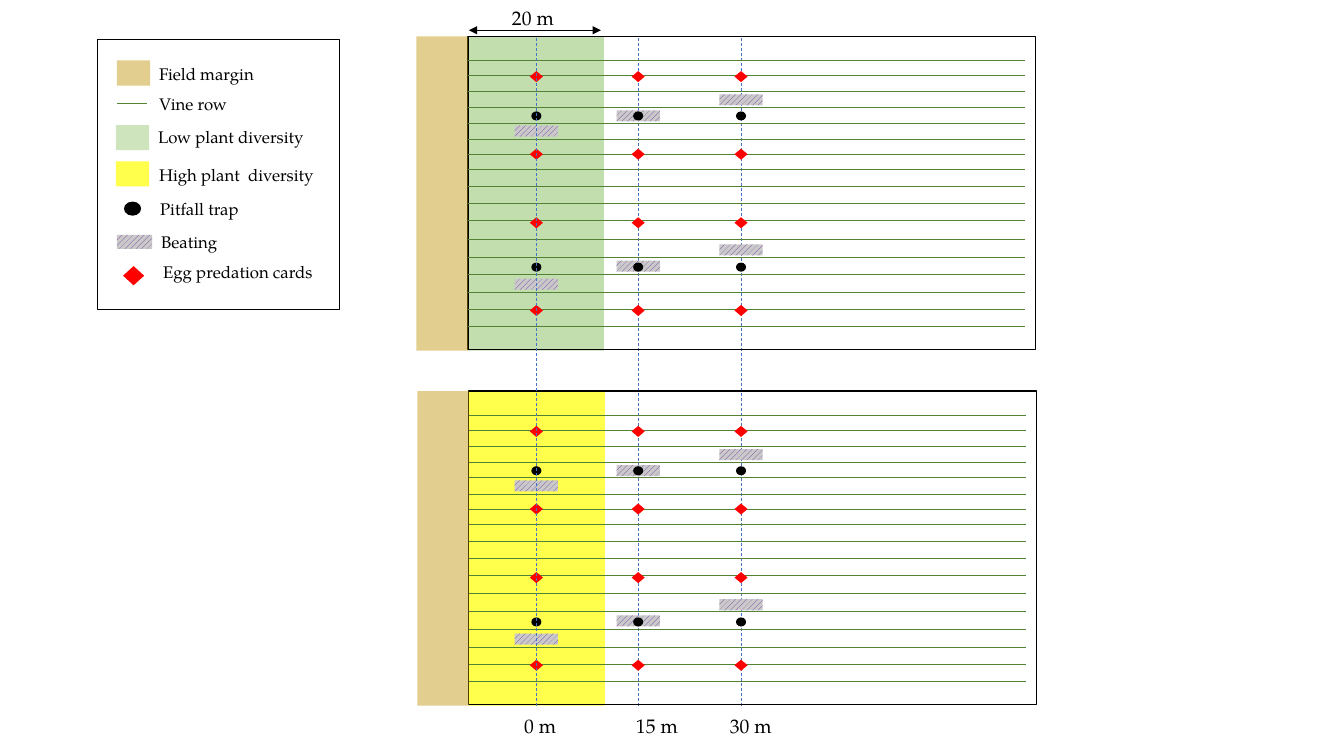
from typing import NamedTuple

from lxml import etree
from pptx import Presentation
from pptx.dml.color import RGBColor
from pptx.enum.dml import MSO_LINE, MSO_PATTERN
from pptx.enum.shapes import MSO_CONNECTOR, MSO_SHAPE
from pptx.oxml.ns import qn
from pptx.util import Inches, Pt

RECT = MSO_SHAPE.RECTANGLE
OVAL = MSO_SHAPE.OVAL
GEM = MSO_SHAPE.DIAMOND
HATCH = MSO_PATTERN.WIDE_UPWARD_DIAGONAL
DASH = MSO_LINE.DASH
STRAIGHT = MSO_CONNECTOR.STRAIGHT
FONT = "TeX Gyre Pagella"
BLACK, WHITE, RED = "000000", "FFFFFF", "FF0000"
GREEN, YELLOW, SAND = "A9D18E", "FFFF00", "BF9000"
VINE, BLUE, PURPLE, GREY = "548235", "4472C4", "7030A0", "C9C9C9"


class Style(NamedTuple):
    form: int
    fill: str | None = None
    alpha: int = 100
    line: str | None = None
    back: str | None = None


class Plot(NamedTuple):
    left: float
    top: float
    zone: Style


class Mark(NamedTuple):
    style: Style
    wide: float
    high: float
    spots: list[tuple[float, ...]]


class Key(NamedTuple):
    text: str
    left: float
    top: float
    style: Style | None
    box: tuple[float, float, float, float]


MARGIN = Style(RECT, SAND, 44)
LOW = Style(RECT, GREEN, 70)
HIGH = Style(RECT, YELLOW, 70)
FRAME = Style(RECT, line=BLACK)
PANEL = Style(RECT, WHITE, line=BLACK)
TRAP = Style(OVAL, BLACK)
BEAT = Style(RECT, PURPLE, back=GREY)
CARD = Style(GEM, RED)

PLOTS = [Plot(4.64, 0.36, LOW), Plot(4.65, 3.88, HIGH)]
ROWS = [0.24, 0.39, 0.55, 0.71, 0.86, 1.02, 1.17, 1.32, 1.49,
        1.66, 1.83, 2.01, 2.19, 2.36, 2.54, 2.71, 2.88]
COLS = [5.32, 6.33, 7.35]
MARKS = [
    Mark(BEAT, 0.43, 0.11, [(0.94, 2.46), (0.79, 2.28), (0.63, 2.12)]),
    Mark(TRAP, 0.1, 0.09, [(0.79, 2.29)] * 3),
    Mark(CARD, 0.13, 0.11, [(0.4, 1.17, 1.85, 2.72)] * 3),
]
KEYS = [
    Key("Field margin", 1.48, 0.58, MARGIN, (1.16, 0.6, 0.33, 0.25)),
    Key("Vine row", 1.48, 0.88, None, (1.16, 1.03, 0.3, 0)),
    Key("Low plant diversity", 1.47, 1.21, Style(RECT, GREEN, 58),
        (1.15, 1.24, 0.33, 0.25)),
    Key("High plant  diversity", 1.48, 1.59, HIGH, (1.15, 1.6, 0.33, 0.25)),
    Key("Pitfall trap", 1.49, 1.92, TRAP, (1.23, 2, 0.17, 0.14)),
    Key("Beating", 1.5, 2.25, BEAT, (1.16, 2.33, 0.35, 0.14)),
    Key("Egg predation cards", 1.52, 2.55, CARD, (1.22, 2.64, 0.21, 0.19)),
]
SCALE = [("20 m", 4.98, 0.01), ("0 m", 5.1, 7.03),
         ("15 m", 6.21, 7.03), ("30 m", 7.14, 7.03)]

deck = Presentation()
deck.slide_width, deck.slide_height = Inches(13.33), Inches(7.5)
slide = deck.slides.add_slide(deck.slide_layouts[6])


def color(code: str) -> RGBColor:
    return RGBColor.from_string(code)


def shape(style: Style, left: float, top: float, wide: float, high: float) -> None:
    item = slide.shapes.add_shape(
        style.form, Inches(left), Inches(top), Inches(wide), Inches(high))
    item.shadow.inherit = False
    fill = item.fill
    if style.fill is None:
        fill.background()
    elif style.back:
        fill.patterned()
        fill.pattern = HATCH
        fill.fore_color.rgb = color(style.fill)
        fill.back_color.rgb = color(style.back)
    else:
        fill.solid()
        fill.fore_color.rgb = color(style.fill)
        if style.alpha < 100:
            tone = item._element.spPr.find(".//" + qn("a:srgbClr"))
            etree.SubElement(tone, qn("a:alpha"), val=str(style.alpha * 1000))
    if style.line:
        item.line.color.rgb = color(style.line)
        item.line.width = Pt(1)
    else:
        item.line.fill.background()


def line(x1: float, y1: float, x2: float, y2: float, code: str,
         size: float = 0.5, dash: bool = False, heads: bool = False) -> None:
    item = slide.shapes.add_connector(
        STRAIGHT, Inches(x1), Inches(y1), Inches(x2), Inches(y2))
    item.line.color.rgb = color(code)
    item.line.width = Pt(size)
    if dash:
        item.line.dash_style = DASH
    if heads:
        for end in ("a:headEnd", "a:tailEnd"):
            etree.SubElement(item.line._ln, qn(end), type="triangle")
    etree.SubElement(item._element.spPr, qn("a:effectLst"))


def label(text: str, left: float, top: float, wide: float, high: float,
          size: int) -> None:
    box = slide.shapes.add_textbox(
        Inches(left), Inches(top), Inches(wide), Inches(high))
    box.text_frame.word_wrap = True
    para = box.text_frame.paragraphs[0]
    para.text = text
    para.font.name = FONT
    para.font.size = Pt(size)
    para.font.color.rgb = color(BLACK)


def field(plot: Plot) -> None:
    shape(plot.zone, plot.left, plot.top, 1.35, 3.12)
    shape(FRAME, plot.left, plot.top, 5.63, 3.11)
    for row in ROWS:
        high = plot.top + row
        line(plot.left, high, plot.left + 5.53, high, VINE)
    for mark in MARKS:
        for col, spots in zip(COLS, mark.spots):
            for spot in spots:
                shape(mark.style, col - mark.wide / 2,
                      plot.top + spot - mark.high / 2, mark.wide, mark.high)
    shape(MARGIN, plot.left - 0.51, plot.top, 0.51, 3.12)


def legend() -> None:
    shape(PANEL, 0.97, 0.39, 2.4, 2.68)
    for key in KEYS:
        if key.style:
            shape(key.style, *key.box)
        else:
            left, top, wide, high = key.box
            line(left, top, left + wide, top + high, VINE, 0.75)
        label(key.text, key.left, key.top, 1.77, 0.3, 12)


legend()
for col in COLS[1:]:
    line(col, 7, col, 0.36, BLUE, dash=True)
for plot in PLOTS:
    field(plot)
line(COLS[0], 7, COLS[0], 0.36, BLUE, dash=True)
line(4.65, 0.3, 5.96, 0.3, BLACK, heads=True)
for text, left, top in SCALE:
    label(text, left, top, 0.77, 0.34, 14)

deck.save("out.pptx")
